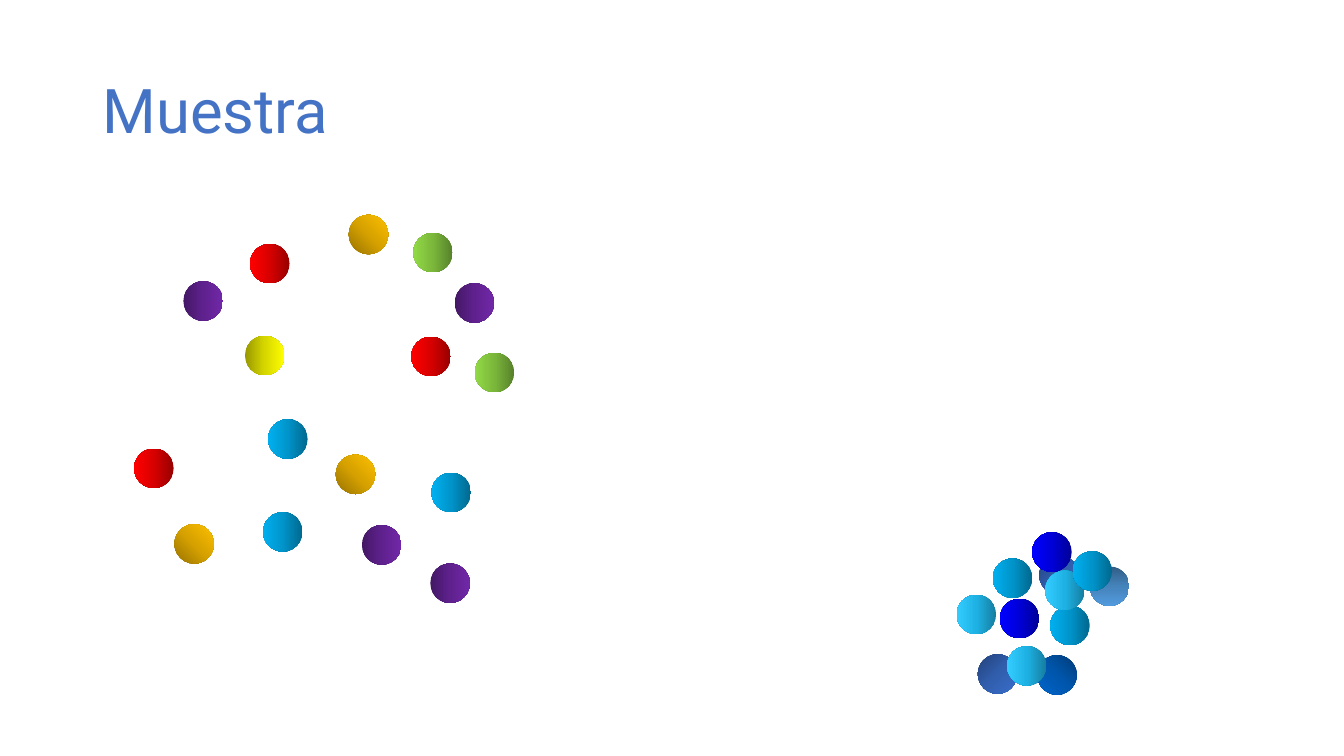
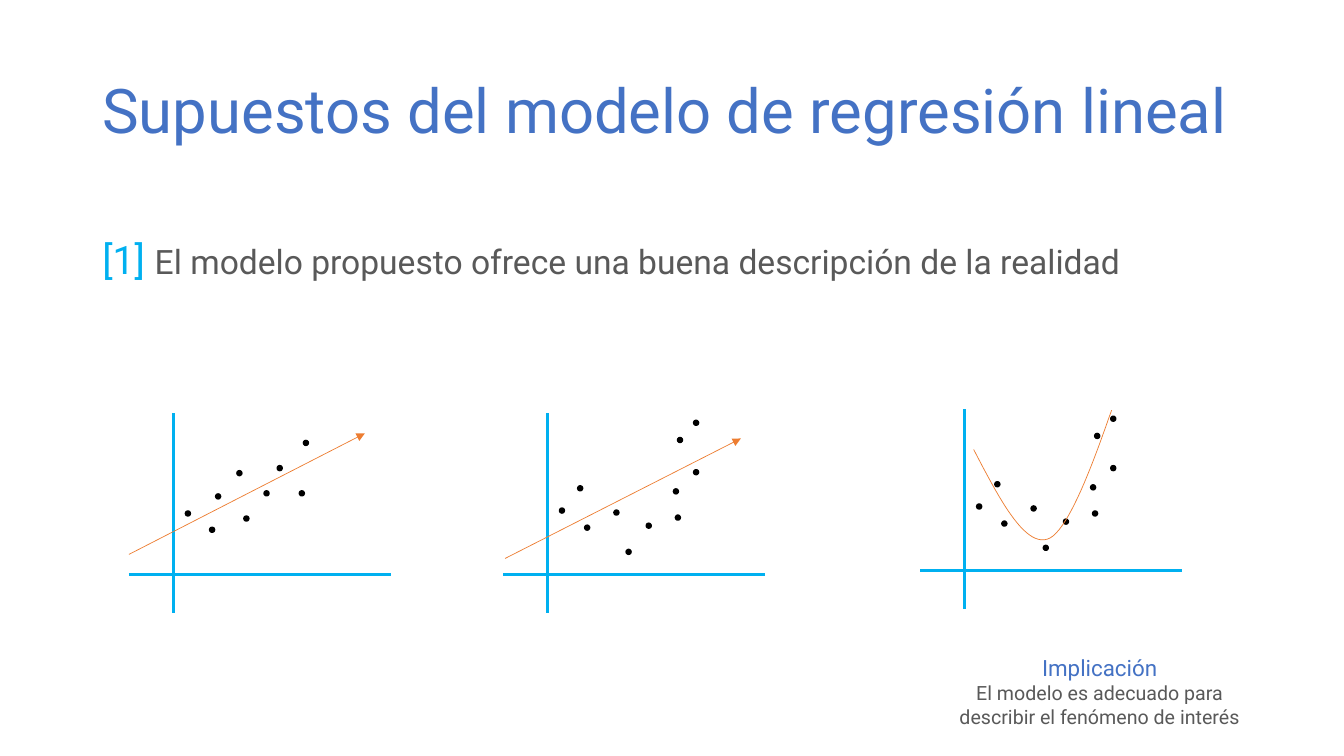
from copy import deepcopy
from dataclasses import dataclass

from lxml.etree import SubElement
from pptx import Presentation
from pptx.dml.color import RGBColor
from pptx.enum.shapes import MSO_CONNECTOR, MSO_SHAPE
from pptx.enum.text import MSO_ANCHOR, MSO_AUTO_SIZE, PP_ALIGN
from pptx.oxml.ns import qn
from pptx.util import Pt


@dataclass(frozen=True)
class Theme:
    font: str = "Roboto"
    title: str = "4472C4"
    accent: str = "00B0F0"
    text: str = "595959"
    trend: str = "ED7D31"
    dot: str = "000000"
    title_size: float = 44
    number_size: float = 28
    body_size: float = 24
    label_size: float = 16
    note_size: float = 14


theme = Theme()

# Ball gradients: dark, middle and light stop, then clockwise angle
gradients = {
    "gold": ("977200", "D7A200", "FFC000", 315),
    "cyan": ("00688E", "0094CA", "00B0F0", 180),
    "red": ("970000", "D70000", "FF0000", 180),
    "purple": ("431764", "5F218E", "7128A8", 0),
    "green": ("57812A", "7BB73B", "92DA46", 180),
    "yellow": ("979700", "D7D700", "FFFF00", 0),
    "slate": ("23427A", "315EAD", "3A6FCE", 45),
    "steel": ("305C84", "4583BB", "529BDE", 90),
    "royal": ("003C79", "0056AC", "0066CC", 135),
    "sky": ("157DA0", "1EB2E4", "33CCFF", 180),
    "blue": ("000097", "0000D7", "0000FF", 180),
}


def add_span(para, text, size, colour):
    span = para.add_run()
    span.text = text
    span.font.name = theme.font
    span.font.size = Pt(size)
    span.font.color.rgb = RGBColor.from_string(colour)


def add_line(page, start, end, colour, width):
    line = page.shapes.add_connector(
        MSO_CONNECTOR.STRAIGHT, *[Pt(value) for value in (*start, *end)])
    line.line.color.rgb = RGBColor.from_string(colour)
    line.line.width = Pt(width)
    SubElement(line._element.spPr, qn("a:effectLst"))
    return line


deck = Presentation()
deck.slide_width, deck.slide_height = Pt(960), Pt(540)

# Both pages with their titles
pages = []
for heading in ("Muestra", "Supuestos del modelo de regresión lineal"):
    page = deck.slides.add_slide(deck.slide_layouts[5])
    title = page.shapes.title
    title.left, title.top, title.width, title.height = Pt(66), Pt(28.8), Pt(828), Pt(104.4)
    frame = title.text_frame
    frame.word_wrap = True
    frame.auto_size = MSO_AUTO_SIZE.NONE
    frame.vertical_anchor = MSO_ANCHOR.MIDDLE
    para = frame.paragraphs[0]
    para.alignment = PP_ALIGN.LEFT
    para.line_spacing = 0.9
    add_span(para, heading, theme.title_size, theme.title)
    pages.append(page)
sample_page, model_page = pages

# Slide 1: scattered balls, then the blue cluster from back to front
ball_size = 28.2
balls = [
    ("gold", [(249.1, 153.4), (239.8, 324.7), (124.6, 374.4)]),
    ("cyan", [(191.5, 299.5), (187.9, 365.8), (308.2, 337.7)]),
    ("red", [(178.6, 174.2), (95.8, 320.4), (293.8, 240.5)]),
    ("purple", [(258.5, 375.1), (131, 200.9), (324.7, 202.3), (307.4, 402.5)]),
    ("green", [(295.2, 166.3), (339.1, 252)]),
    ("yellow", [(175, 239.8)]),
    ("slate", [(698.4, 467.3), (742.3, 396.7)]),
    ("cyan", [(709.2, 398.9), (750.2, 432.7)]),
    ("steel", [(778.3, 404.6)]),
    ("royal", [(740.9, 468)]),
    ("sky", [(683.3, 424.8), (746.6, 407.5), (719.3, 461.5)]),
    ("blue", [(714.2, 427.7), (737.3, 380.2)]),
    ("cyan", [(766.1, 393.8)]),
]
for name, places in balls:
    *colours, angle = gradients[name]
    for left, top in places:
        ball = sample_page.shapes.add_shape(
            MSO_SHAPE.OVAL, Pt(left), Pt(top), Pt(ball_size), Pt(ball_size))
        ball.shadow.inherit = False
        ball.line.fill.background()
        ball.fill.gradient()
        ball.fill.gradient_angle = (360 - angle) % 360
        stop_list = ball._element.spPr.find(".//" + qn("a:gsLst"))
        stop_list.append(deepcopy(stop_list[0]))
        for stop, colour, position in zip(ball.fill.gradient_stops, colours, (0, 0.5, 1)):
            stop.color.rgb = RGBColor.from_string(colour)
            stop.position = position

# Slide 2: the assumption
box = model_page.shapes.add_textbox(Pt(66), Pt(168.5), Pt(828), Pt(43.2))
box.text_frame.word_wrap = True
para = box.text_frame.paragraphs[0]
para.line_spacing = 0.9
add_span(para, "[1] ", theme.number_size, theme.accent)
add_span(para, "El modelo propuesto ofrece una buena descripción de la realidad",
         theme.body_size, theme.text)

# Three plots; dots and trends are measured from where the axes cross
linear_dots = [(8.6, -45.4), (25.9, -33.8), (30.2, -57.6), (50.4, -41.8), (45.4, -74.2),
               (64.8, -59.8), (74.2, -77.8), (90, -59.8), (92.9, -95.8)]
curved_dots = [(8.6, -47.5), (26.6, -35.3), (70.6, -36.7), (47.5, -46.1), (91.4, -42.5),
               (104.4, -110.2), (104.4, -74.9), (90, -61.2), (92.9, -97.9),
               (21.6, -63.4), (56.2, -18)]
plots = [
    ((123.8, 410.4), linear_dots, [(-31.7, -14.4), (136.8, -100.8)]),
    ((391, 410.4), curved_dots, [(-30.2, -11.5), (138.2, -97.2)]),
    ((689, 407.5), curved_dots, None),
]
dot_size = 3.6
for (x, y), dots, trend in plots:
    add_line(model_page, (x, y - 115.2), (x, y + 27.4), theme.accent, 2.25)
    add_line(model_page, (x - 31.7, y), (x + 155.5, y), theme.accent, 2.25)
    if trend:
        start, end = [(x + across, y + down) for across, down in trend]
        arrow = add_line(model_page, start, end, theme.trend, 0.5)
        SubElement(arrow.line._get_or_add_ln(), qn("a:tailEnd"), type="triangle")
    cloud = model_page.shapes.add_group_shape()
    for across, down in dots:
        dot = cloud.shapes.add_shape(
            MSO_SHAPE.OVAL, Pt(x + across), Pt(y + down), Pt(dot_size), Pt(dot_size))
        dot.shadow.inherit = False
        dot.fill.solid()
        dot.fill.fore_color.rgb = RGBColor.from_string(theme.dot)
        dot.line.color.rgb = RGBColor.from_string(theme.dot)
        dot.line.width = Pt(1)

# Curved trend of the last plot: two Bézier arcs in short steps
arcs = [
    [(6.5, -86.4), (24.5, -51.8), (42.5, -17.3), (59, -22.3)],
    [(59, -22.3), (75.6, -26.6), (97.9, -95), (105.1, -114.5)],
]
steps = 24
curve_points = []
for arc in arcs:
    for step in range(steps + 1):
        t = step / steps
        weights = ((1 - t) ** 3, 3 * t * (1 - t) ** 2, 3 * t ** 2 * (1 - t), t ** 3)
        across, down = [sum(w * value for w, value in zip(weights, axis)) for axis in zip(*arc)]
        curve_points.append((Pt(x + across), Pt(y + down)))
builder = model_page.shapes.build_freeform(*curve_points[0])
builder.add_line_segments(curve_points[1:], close=False)
curve = builder.convert_to_shape()
curve.shadow.inherit = False
curve.fill.background()
curve.line.color.rgb = RGBColor.from_string(theme.trend)
curve.line.width = Pt(0.5)

# Implication under the last plot
box = model_page.shapes.add_textbox(Pt(672.5), Pt(463.7), Pt(226), Pt(60.5))
frame = box.text_frame
frame.word_wrap = True
frame.auto_size = MSO_AUTO_SIZE.SHAPE_TO_FIT_TEXT
label, note = frame.paragraphs[0], frame.add_paragraph()
label.alignment = note.alignment = PP_ALIGN.CENTER
add_span(label, "Implicación", theme.label_size, theme.title)
add_span(note, "El modelo es adecuado para describir el fenómeno de interés",
         theme.note_size, theme.text)

deck.save("out.pptx")
